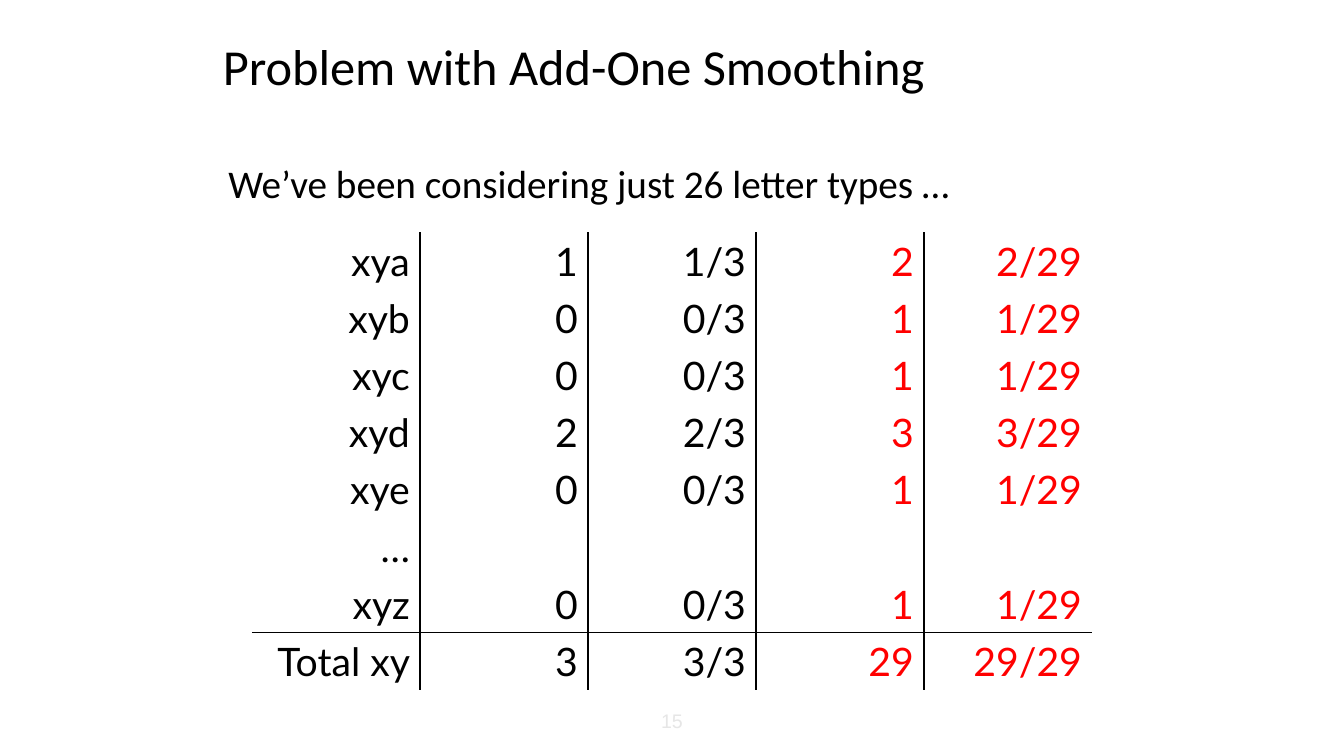
"""Build a slide with a table of add-one smoothed letter counts."""
from lxml.etree import SubElement
from pptx import Presentation
from pptx.dml.color import RGBColor as RGB
from pptx.enum.text import MSO_ANCHOR as ANCHOR, PP_ALIGN as ALIGN
from pptx.oxml.ns import qn
from pptx.util import Pt

COLORS = {"ink": "000000", "red": "FF0000", "pale": "E6E6E6"}
ROWS = [
    ["xya", "1", "1/3", "2", "2/29"],
    ["xyb", "0", "0/3", "1", "1/29"],
    ["xyc", "0", "0/3", "1", "1/29"],
    ["xyd", "2", "2/3", "3", "3/29"],
    ["xye", "0", "0/3", "1", "1/29"],
    ["…", "", "", "", ""],
    ["xyz", "0", "0/3", "1", "1/29"],
    ["Total xy", "3", "3/3", "29", "29/29"],
]
COL, ROW = 120, 40.8


def write(frame, text, size, font, color, **form):
    """Put one formatted paragraph in a text frame."""
    par = frame.paragraphs[0]
    par.text = text
    for name, value in form.items():
        setattr(par, name, value)
    for name, value in {"size": Pt(size), "name": font}.items():
        setattr(par.font, name, value)
    par.font.color.rgb = RGB.from_string(COLORS[color])


def add_title(slide, text):
    """Place and fill the title."""
    title = slide.shapes.title
    spots = {"left": 152, "top": 4.3, "width": 688, "height": 90}
    for name, value in spots.items():
        setattr(title, name, Pt(value))
    title.text_frame.vertical_anchor = ANCHOR.MIDDLE
    write(title.text_frame, text, 36, "Calibri", "ink",
          alignment=ALIGN.LEFT, line_spacing=0.9)


def add_text(slide, box, *text, **form):
    """Add a wrapped text box."""
    frame = slide.shapes.add_textbox(*map(Pt, box)).text_frame
    frame.word_wrap = True
    write(frame, *text, **form)


def edge(cell, side, drawn):
    """Draw or clear one border of a cell."""
    line = SubElement(cell._tc.get_or_add_tcPr(), qn(f"a:ln{side}"), w=str(Pt(1)))
    if drawn:
        fill = SubElement(line, qn("a:solidFill"))
        SubElement(fill, qn("a:srgbClr"), val=COLORS["ink"])
    else:
        SubElement(line, qn("a:noFill"))


def add_counts(slide):
    """Add the table of counts, ruled between columns and above the total."""
    high, wide = len(ROWS), len(ROWS[0])
    area = map(Pt, (180, 166, COL * wide, ROW * high))
    table = slide.shapes.add_table(high, wide, *area).table
    table.first_row = table.horz_banding = False
    for col in table.columns:
        col.width = Pt(COL)
    for r, texts in enumerate(ROWS):
        table.rows[r].height = Pt(ROW)
        for c, text in enumerate(texts):
            cell = table.cell(r, c)
            sides = {"L": c > 0, "R": c < wide - 1,
                     "T": r == high - 1, "B": r == high - 2}
            for side, drawn in sides.items():
                edge(cell, side, drawn)
            cell.fill.background()
            write(cell.text_frame, text, 28, "Lato",
                  "red" if c > 2 else "ink", alignment=ALIGN.RIGHT)


def main():
    """Build and save the slide."""
    deck = Presentation()
    deck.slide_width, deck.slide_height = Pt(960), Pt(540)
    slide = deck.slides.add_slide(deck.slide_layouts[5])
    add_title(slide, "Problem with Add-One Smoothing")
    add_counts(slide)
    add_text(slide, (156, 114, 684, 40),
             "We’ve been considering just 26 letter types …",
             28, "Calibri", "ink", line_spacing=0.9)
    add_text(slide, (440, 503, 80, 24), "15", 14, "Arial", "pale",
             alignment=ALIGN.CENTER)
    deck.save("out.pptx")


if __name__ == "__main__":
    main()
